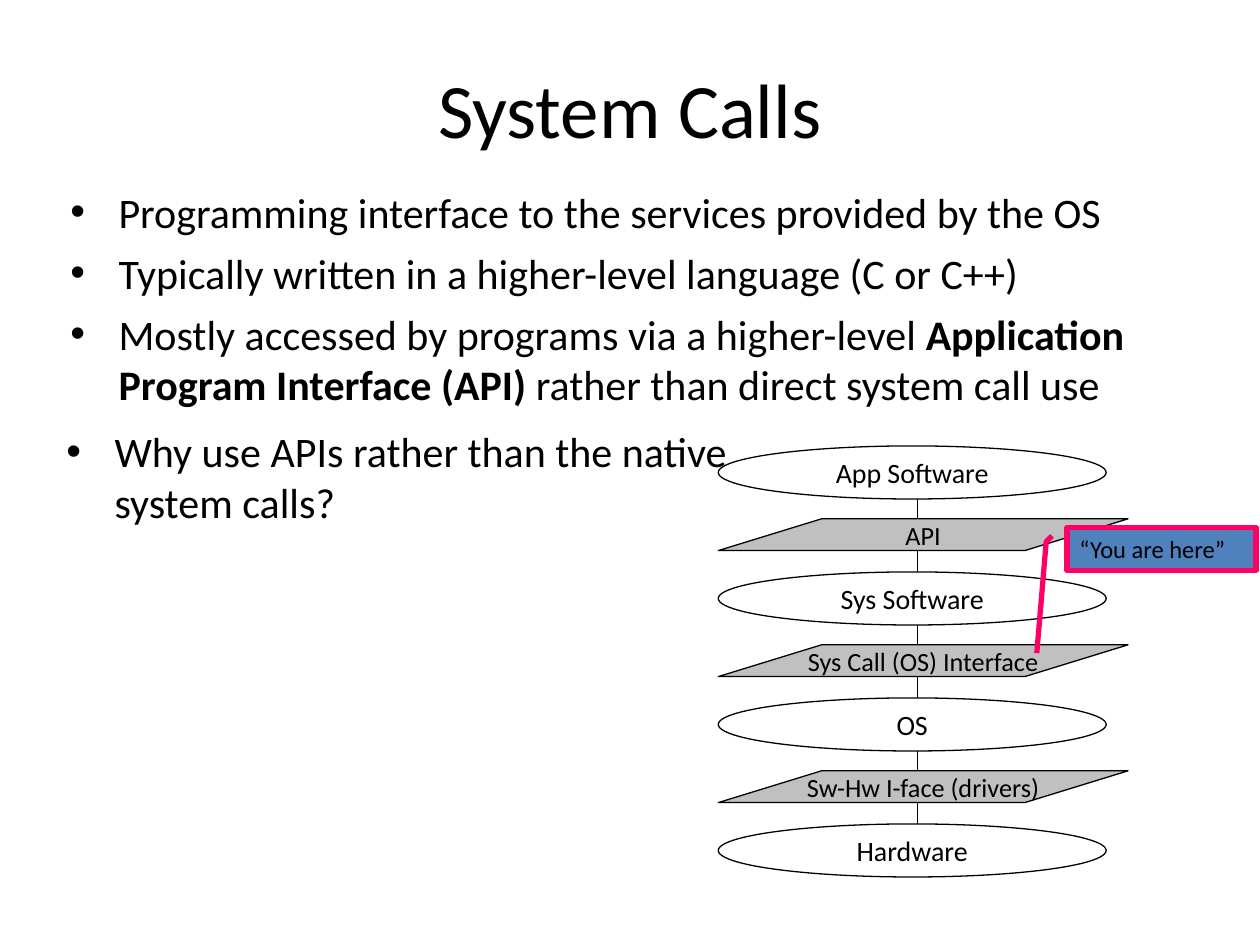
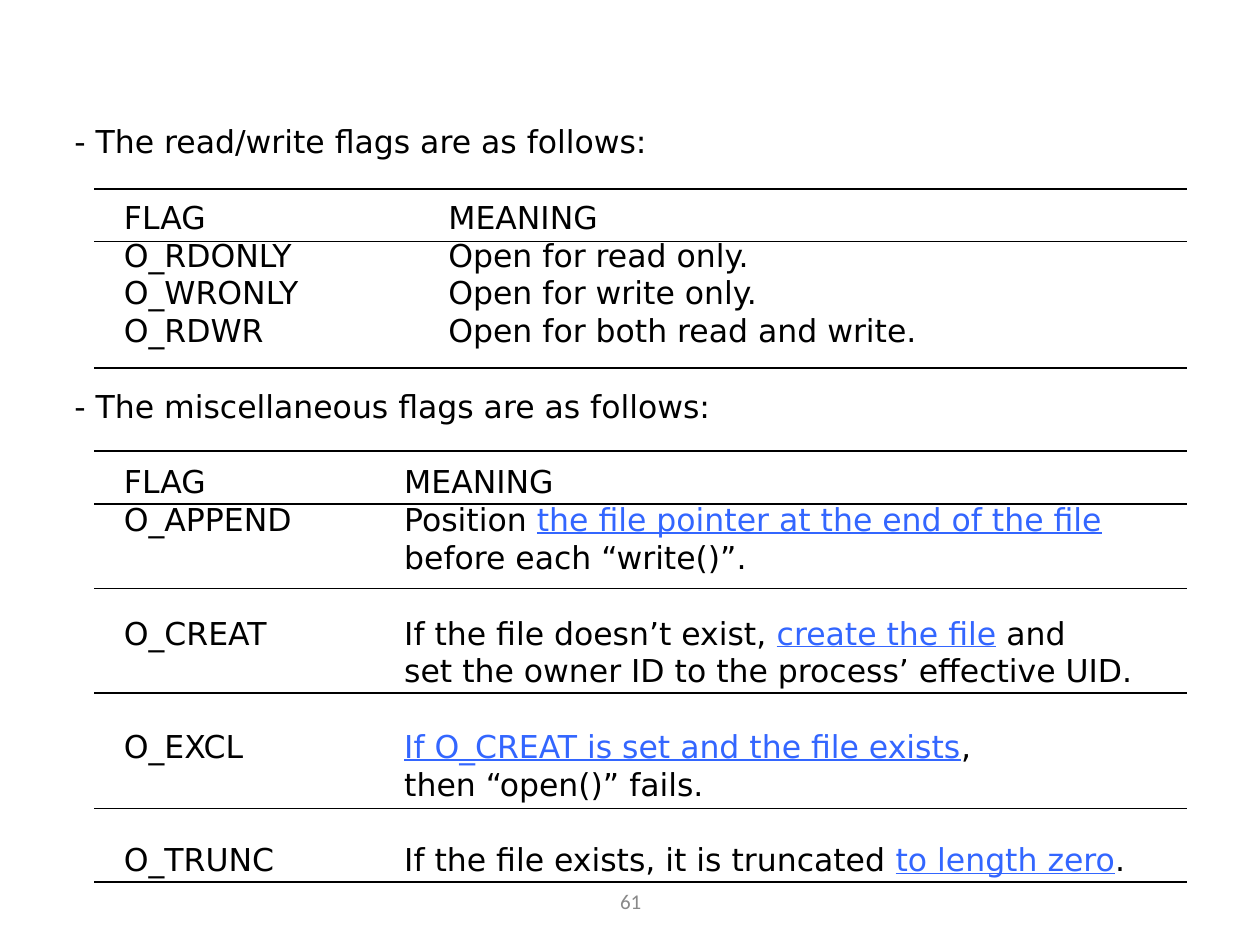
from itertools import pairwise

from lxml import etree
from pptx import Presentation
from pptx.dml.color import RGBColor
from pptx.enum.shapes import MSO_CONNECTOR, MSO_SHAPE
from pptx.enum.text import MSO_ANCHOR, PP_ALIGN
from pptx.oxml.ns import qn
from pptx.util import Cm, Pt

BLACK = RGBColor(0x00, 0x00, 0x00)
SILVER = RGBColor(0xC0, 0xC0, 0xC0)
GREY = RGBColor(0x89, 0x89, 0x89)
PINK = RGBColor(0xFF, 0x00, 0x66)
CALLOUT_BLUE = RGBColor(0x4F, 0x81, 0xBD)
LINK_BLUE = RGBColor(0x33, 0x66, 0xFF)

ELLIPSE = MSO_SHAPE.OVAL
PARALLELOGRAM = MSO_SHAPE.PARALLELOGRAM
CALLOUT = MSO_SHAPE.LINE_CALLOUT_2
STRAIGHT = MSO_CONNECTOR.STRAIGHT
LEFT, CENTER = PP_ALIGN.LEFT, PP_ALIGN.CENTER
TOP, MIDDLE = MSO_ANCHOR.TOP, MSO_ANCHOR.MIDDLE

PLAIN, BOLD = {}, {"bold": True}
LINKED = {"underline": True, "color": LINK_BLUE}
BULLET_INDENT = Cm(0.97)
FLAG_LINE = Pt(21.6)

LAYERS = ["App Software", "API", "Sys Software", "Sys Call (OS) Interface",
          "OS", "Sw-Hw I-face (drivers)", "Hardware"]

SYSTEM_CALL_POINTS = [
    "Programming interface to the services provided by the OS",
    "Typically written in a higher-level language (C or C++)",
    "Mostly accessed by programs via a higher-level "
    "|Application Program Interface (API)| rather than direct system call use",
]

# Heading, column of the meanings in cm, then groups of lines set apart by a gap
FLAG_SECTIONS = [
    ("- The read/write flags are as follows:", 7.95, [
        ["\tFLAG\tMEANING",
         "\tO_RDONLY\tOpen for read only.",
         "\tO_WRONLY\tOpen for write only.",
         "\tO_RDWR\tOpen for both read and write."],
    ]),
    ("- The miscellaneous flags are as follows:", 7.06, [
        ["\tFLAG\tMEANING",
         "\tO_APPEND\tPosition |the file pointer at the end of the file|",
         "\t\tbefore each “write()”."],
        ["\tO_CREAT\tIf the file doesn’t exist, |create the file| and",
         "\t\tset the owner ID to the process’ effective UID."],
        ["\tO_EXCL\t|If O_CREAT is set and the file exists|,",
         "\t\tthen “open()” fails."],
        ["\tO_TRUNC\tIf the file exists, it is truncated |to length zero|."],
    ]),
]
RULE_TOPS = [3.81, 4.87, 7.42, 9.09, 10.16, 11.86, 13.97, 16.3, 17.78]


def add_runs(paragraph, text, size, font="Calibri", color=BLACK, emphasis=PLAIN):
    """Write text whose parts between bars take the emphasis format."""
    for index, part in enumerate(text.split("|")):
        if not part:
            continue
        run = paragraph.add_run()
        run.text = part
        values = {"size": Pt(size), "name": font, "color": color}
        values.update(emphasis if index % 2 else PLAIN)
        run.font.color.rgb = values.pop("color")
        for name, value in values.items():
            setattr(run.font, name, value)


def add_text_box(slide, left, top, width, height, anchor=TOP):
    box = slide.shapes.add_textbox(Cm(left), Cm(top), Cm(width), Cm(height))
    box.text_frame.word_wrap = True
    box.text_frame.vertical_anchor = anchor
    return box.text_frame


def next_paragraph(frame):
    """Give the empty first paragraph, or a new one."""
    first = frame.paragraphs[0]
    return frame.add_paragraph() if first.runs else first


def add_centered_text(slide, text, place, size, color=BLACK):
    frame = add_text_box(slide, *place, anchor=MIDDLE)
    frame.paragraphs[0].alignment = CENTER
    add_runs(frame.paragraphs[0], text, size, color=color)


def add_bullets(slide, texts, place):
    frame = add_text_box(slide, *place)
    for index, text in enumerate(texts):
        paragraph = next_paragraph(frame)
        properties = paragraph._p.get_or_add_pPr()
        properties.set("marL", str(BULLET_INDENT))
        properties.set("indent", str(-BULLET_INDENT))
        etree.SubElement(properties, qn("a:buFont"), typeface="Arial")
        etree.SubElement(properties, qn("a:buChar"), char="•")
        if index:
            paragraph.space_before = Pt(6)
        add_runs(paragraph, text, 24, emphasis=BOLD)


def add_line(slide, start_x, start_y, end_x, end_y):
    line = slide.shapes.add_connector(
        STRAIGHT, Cm(start_x), Cm(start_y), Cm(end_x), Cm(end_y))
    line.line.color.rgb = BLACK
    line.line.width = Pt(0.75)
    etree.SubElement(line._element.spPr, qn("a:effectLst"))


def add_labelled_shape(slide, kind, place, text, size, fill=None, line=BLACK,
                       line_width=0.75, alignment=CENTER, adjustments=()):
    shape = slide.shapes.add_shape(kind, *map(Cm, place))
    shape.shadow.inherit = False
    for index, value in enumerate(adjustments):
        shape.adjustments[index] = value
    if fill is None:
        shape.fill.background()
    else:
        shape.fill.solid()
        shape.fill.fore_color.rgb = fill
    shape.line.color.rgb = line
    shape.line.width = Pt(line_width)
    frame = shape.text_frame
    frame.word_wrap = False
    frame.vertical_anchor = MIDDLE
    frame.paragraphs[0].alignment = alignment
    add_runs(frame.paragraphs[0], text, size)


def add_layer_stack(slide):
    """Alternate software layers and interfaces, linked from top to bottom."""
    left, axis, step = 14.48, 18.49, 2.54
    spans = []
    for index, label in enumerate(LAYERS):
        level, is_interface = divmod(index, 2)
        if is_interface:
            top, height = 10.46 + level * step, 0.64
            add_labelled_shape(slide, PARALLELOGRAM, (left, top, 8.26, height),
                               label, 15, fill=SILVER, adjustments=[3.25])
        else:
            top, height = 8.99 + level * step, 1.07
            add_labelled_shape(slide, ELLIPSE, (left, top, 7.82, height), label, 16)
        spans.append((top, top + height))
    for (_, upper_bottom), (lower_top, _) in pairwise(spans):
        add_line(slide, axis, upper_bottom, axis, lower_top)


def add_flag_line(frame, text, gap_before=False, tabs=(), indent=0):
    paragraph = next_paragraph(frame)
    properties = paragraph._p.get_or_add_pPr()
    properties.set("marL", str(Cm(indent)))
    if tabs:
        tab_list = etree.SubElement(properties, qn("a:tabLst"))
        for position in tabs:
            etree.SubElement(tab_list, qn("a:tab"), pos=str(Cm(position)), algn="l")
    paragraph.line_spacing = FLAG_LINE
    if gap_before:
        paragraph.space_before = FLAG_LINE
    add_runs(paragraph, text, 18, font="DejaVu Sans", emphasis=LINKED)


def add_flag_sections(slide):
    frame = add_text_box(slide, 0.84, 2.34, 23.77, 15.49)
    for section, (heading, meaning_column, groups) in enumerate(FLAG_SECTIONS):
        add_flag_line(frame, heading, gap_before=section > 0, indent=0.41)
        for group in groups:
            for index, text in enumerate(group):
                add_flag_line(frame, text, gap_before=index == 0,
                              tabs=(1.41, meaning_column))


def build_system_calls(slide):
    add_centered_text(slide, "System Calls", (1.27, 0.58, 22.86, 3.18), 44)
    add_bullets(slide, SYSTEM_CALL_POINTS, (1.17, 3.63, 22.78, 5.99))
    add_layer_stack(slide)
    add_labelled_shape(slide, CALLOUT, (21.51, 10.64, 3.81, 0.86),
                       "“You are here”", 14, fill=CALLOUT_BLUE, line=PINK,
                       line_width=3, alignment=LEFT,
                       adjustments=[0.19, -0.08, 0.33, -0.11, 2.94, -0.16])
    add_bullets(slide, ["Why use APIs rather than the native system calls?"],
                (1.09, 8.46, 14.4, 8.61))


def build_open_flags(slide):
    add_centered_text(slide, "61", (8.69, 17.65, 8.05, 1.02), 12, color=GREY)
    add_flag_sections(slide)
    for top in RULE_TOPS:
        add_line(slide, 1.9, top, 23.92, top)


def main():
    presentation = Presentation()
    presentation.slide_width = Cm(25.4)
    presentation.slide_height = Cm(19.05)
    blank = presentation.slide_layouts[6]
    for build in (build_system_calls, build_open_flags):
        build(presentation.slides.add_slide(blank))
    presentation.save("out.pptx")


if __name__ == "__main__":
    main()
